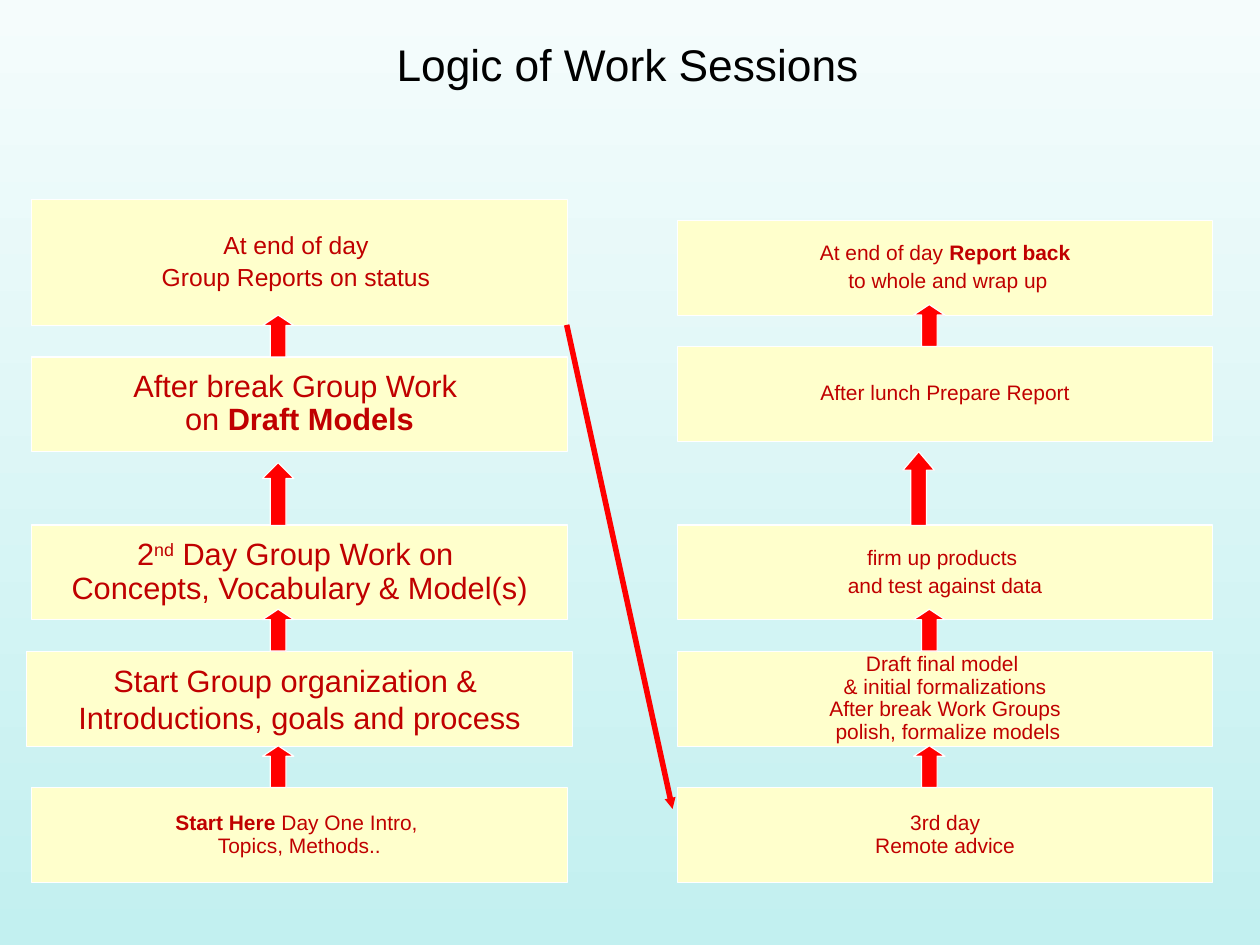
from dataclasses import dataclass

import pptx
import pptx.dml.color
import pptx.enum.shapes
import pptx.enum.text
import pptx.oxml
import pptx.oxml.ns
import pptx.shapes.autoshape
import pptx.slide
import pptx.text.text
import pptx.util
from pptx.dml.color import RGBColor
from pptx.util import Pt

SKY_TOP = RGBColor(0xF5, 0xFC, 0xFC)
SKY_BOTTOM = RGBColor(0xC2, 0xF0, 0xF0)
CREAM = RGBColor(0xFF, 0xFF, 0xCC)
WHITE = RGBColor(0xFF, 0xFF, 0xFF)
BLACK = RGBColor(0, 0, 0)
DARK_RED = RGBColor(0xC0, 0, 0)
RED = RGBColor(0xFF, 0, 0)

FONT = "Arial"
SLIDE_WIDTH, SLIDE_HEIGHT = 1023.88, 767.88
LEFT_X, RIGHT_X = 25.75, 550.4
BOX_WIDTH, BOX_HEIGHT = 435.2, 77
LEFT_ARROW_X, RIGHT_ARROW_X = 213.3, 742.4
ARROW_WIDTH = 25.5


@dataclass(frozen=True)
class Words:
    text: str
    bold: bool = False
    raised: bool = False


@dataclass(frozen=True)
class Step:
    left: float
    top: float
    size: float
    lines: list[list[Words]]
    width: float = BOX_WIDTH
    height: float = BOX_HEIGHT
    spacing: float = 0.9
    gap: float = 0


@dataclass(frozen=True)
class Rise:
    """An upward arrow standing on the top edge of a step."""
    left: float
    base: float
    length: float = 34


STEPS = [
    # Days one and two, bottom to top
    Step(LEFT_X, 640.2, 17, [[Words("Start Here ", bold=True), Words("Day One Intro, ")],
                             [Words("Topics, Methods..")]]),
    Step(21.6, 529.4, 25, [[Words("Start Group organization & ")],
                           [Words("Introductions, goals and process")]],
         width=443.5, spacing=1),
    Step(LEFT_X, 426.7, 25, [[Words("2"), Words("nd", raised=True),
                              Words(" Day Group Work on ")],
                             [Words("Concepts, Vocabulary & Model(s)")]]),
    Step(LEFT_X, 290.1, 25, [[Words("After break Group Work ")],
                             [Words("on "), Words("Draft Models", bold=True)]]),
    Step(LEFT_X, 162, 20, [[Words("At end of day ")],
                           [Words("Group Reports on status ")]],
         height=102.3, gap=4.2),
    # Day three, bottom to top
    Step(RIGHT_X, 640.2, 17, [[Words("3rd day")], [Words("Remote advice")]]),
    Step(RIGHT_X, 529.4, 17, [[Words("Draft final model ")],
                              [Words("& initial formalizations")],
                              [Words("After break Work Groups")],
                              [Words(" polish, formalize models")]]),
    Step(RIGHT_X, 426.7, 17, [[Words("firm up products ")],
                              [Words("and test against data")]], gap=4.2),
    Step(RIGHT_X, 281.7, 17, [[Words("After lunch Prepare Report")]]),
    Step(RIGHT_X, 179.2, 17, [[Words("At end of day "), Words("Report back", bold=True)],
                              [Words(" to whole and wrap up")]], gap=4.2),
]

RISES = [
    Rise(LEFT_ARROW_X, 640),
    Rise(LEFT_ARROW_X, 529),
    Rise(LEFT_ARROW_X, 427, 51),
    Rise(LEFT_ARROW_X, 290),
    Rise(RIGHT_ARROW_X, 640),
    Rise(RIGHT_ARROW_X, 529),
    Rise(733.8, 427, 60),
    Rise(RIGHT_ARROW_X, 281.5),
]


def add_words(paragraph: pptx.text.text._Paragraph, words: Words,
              size: float, color: RGBColor) -> None:
    run = paragraph.add_run()
    run.text = words.text
    run.font.name = FONT
    run.font.size = Pt(size)
    run.font.bold = words.bold
    run.font.color.rgb = color
    if words.raised:
        run._r.get_or_add_rPr().set("baseline", "30000")


def add_block(slide: pptx.slide.Slide, kind: pptx.enum.shapes.MSO_SHAPE, left: float,
              top: float, width: float, height: float,
              fill: RGBColor) -> pptx.shapes.autoshape.Shape:
    block = slide.shapes.add_shape(kind, Pt(left), Pt(top), Pt(width), Pt(height))
    block.shadow.inherit = False
    block.fill.solid()
    block.fill.fore_color.rgb = fill
    block.line.color.rgb = WHITE
    block.line.width = Pt(1)
    return block


def add_step(slide: pptx.slide.Slide, step: Step) -> None:
    box = add_block(slide, pptx.enum.shapes.MSO_SHAPE.RECTANGLE,
                    step.left, step.top, step.width, step.height, CREAM)
    frame = box.text_frame
    frame.word_wrap = False
    frame.vertical_anchor = pptx.enum.text.MSO_ANCHOR.MIDDLE
    for index, line in enumerate(step.lines):
        paragraph = frame.add_paragraph() if index else frame.paragraphs[0]
        paragraph.alignment = pptx.enum.text.PP_ALIGN.CENTER
        paragraph.line_spacing = step.spacing
        if index and step.gap:
            paragraph.space_before = Pt(step.gap)
        for words in line:
            add_words(paragraph, words, step.size, DARK_RED)


def add_rise(slide: pptx.slide.Slide, rise: Rise) -> None:
    arrow = add_block(slide, pptx.enum.shapes.MSO_SHAPE.UP_ARROW, rise.left,
                      rise.base - rise.length, ARROW_WIDTH, rise.length, RED)
    # The head takes a quarter of the arrow's length
    arrow.adjustments[0] = 0.5
    arrow.adjustments[1] = rise.length / (4 * ARROW_WIDTH)


def add_day_link(slide: pptx.slide.Slide) -> None:
    link = slide.shapes.add_connector(pptx.enum.shapes.MSO_CONNECTOR.STRAIGHT,
                                      Pt(460.5), Pt(264), Pt(546.5), Pt(657.3))
    link.line.color.rgb = RED
    link.line.width = Pt(4.5)
    tail = pptx.oxml.parse_xml(
        f'<a:tailEnd {pptx.oxml.ns.nsdecls("a")} type="triangle" w="sm" len="sm"/>')
    link.line._get_or_add_ln().append(tail)
    no_shadow = pptx.oxml.parse_xml(f'<a:effectLst {pptx.oxml.ns.nsdecls("a")}/>')
    link._element.spPr.append(no_shadow)


def add_title(slide: pptx.slide.Slide) -> None:
    title = slide.shapes.title
    title.left, title.top, title.width, title.height = Pt(51), Pt(10.5), Pt(922), Pt(83)
    frame = title.text_frame
    frame.word_wrap = True
    frame.vertical_anchor = pptx.enum.text.MSO_ANCHOR.MIDDLE
    frame.margin_left = frame.margin_top = frame.margin_bottom = Pt(4.5)
    frame.margin_right = Pt(8.5)
    heading = frame.paragraphs[0]
    heading.alignment = pptx.enum.text.PP_ALIGN.CENTER
    add_words(heading, Words("Logic of Work Sessions"), 36, BLACK)


def main() -> None:
    deck = pptx.Presentation()
    deck.slide_width, deck.slide_height = Pt(SLIDE_WIDTH), Pt(SLIDE_HEIGHT)
    slide = deck.slides.add_slide(deck.slide_layouts[5])

    # Background, light at the top
    sky = slide.background.fill
    sky.gradient()
    sky.gradient_angle = 270
    for stop, color in zip(sky.gradient_stops, (SKY_TOP, SKY_BOTTOM)):
        stop.color.rgb = color

    # Title, steps, and the arrows between them
    add_title(slide)
    for step in STEPS:
        add_step(slide, step)
    for rise in RISES:
        add_rise(slide, rise)
    add_day_link(slide)

    deck.save("out.pptx")


if __name__ == "__main__":
    main()
